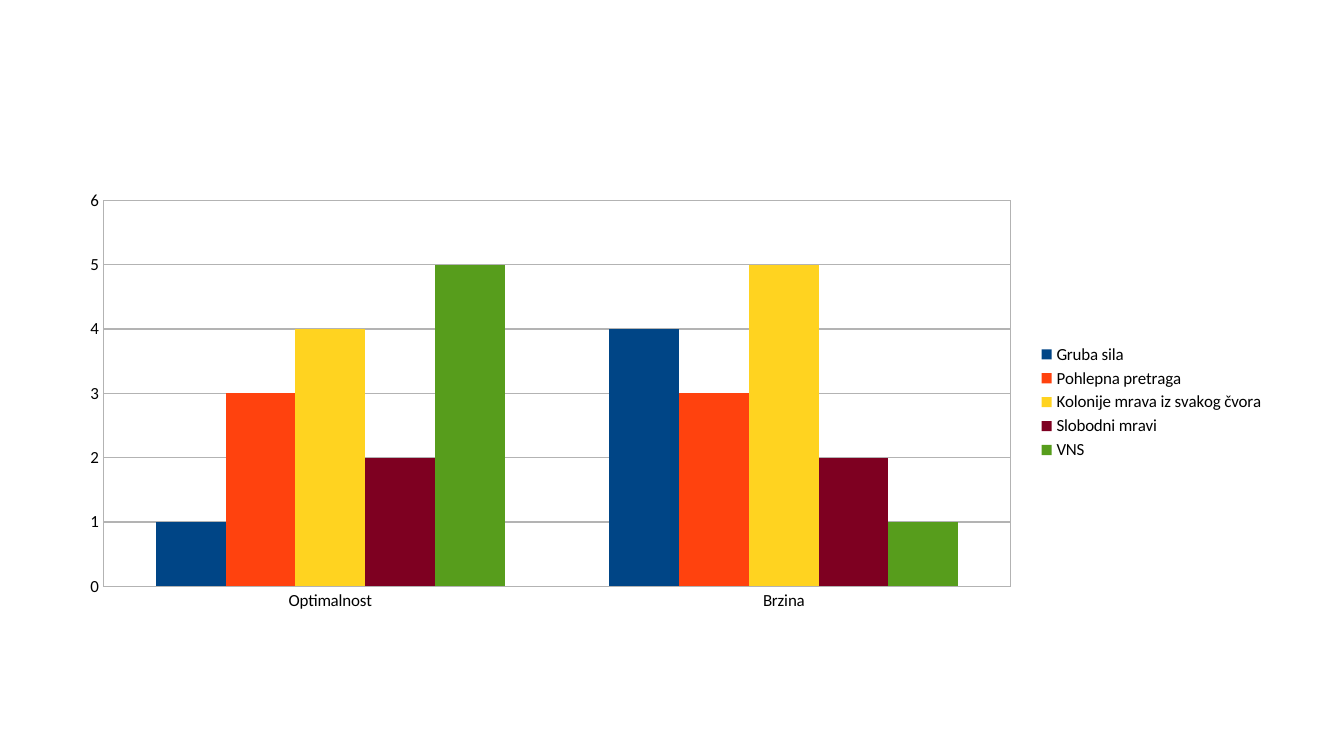
import pptx
import pptx.chart.data
import pptx.dml.color
import pptx.enum.chart
import pptx.oxml
import pptx.oxml.ns
import pptx.util

Cm, Pt = pptx.util.Cm, pptx.util.Pt
RGB = pptx.dml.color.RGBColor
enum = pptx.enum.chart

BLACK = RGB(0x00, 0x00, 0x00)
GREY = RGB(0xB3, 0xB3, 0xB3)
BLUE = RGB(0x00, 0x45, 0x86)
ORANGE = RGB(0xFF, 0x42, 0x0E)
YELLOW = RGB(0xFF, 0xD3, 0x20)
MAROON = RGB(0x7E, 0x00, 0x21)
GREEN = RGB(0x57, 0x9D, 0x1C)

TRAITS = ("Optimalnost", "Brzina")
METHODS = [
    ("Gruba sila", (1, 4), BLUE),
    ("Pohlepna pretraga", (3, 3), ORANGE),
    ("Kolonije mrava iz svakog čvora", (4, 5), YELLOW),
    ("Slobodni mravi", (2, 2), MAROON),
    ("VNS", (5, 1), GREEN),
]
FRAME = (Cm(1.4), Cm(3.81), Cm(25.2), Cm(9.14))
PLOT = {"x": 0.03, "y": 0.04, "w": 0.75, "h": 0.88}


def rule(line):
    line.color.rgb = GREY
    line.width = Pt(0.75)


def place(area):
    """Fix the inner plot area and give it a grey border."""
    for old in area.findall(pptx.oxml.ns.qn("c:layout")):
        area.remove(old)
    sizes = "".join(f'<c:{key} val="{val}"/>' for key, val in PLOT.items())
    names = pptx.oxml.ns.nsdecls("c", "a")
    area.insert(0, pptx.oxml.parse_xml(
        f'<c:layout {names}><c:manualLayout><c:layoutTarget val="inner"/>'
        f'<c:xMode val="edge"/><c:yMode val="edge"/>{sizes}'
        '</c:manualLayout></c:layout>'))
    area.append(pptx.oxml.parse_xml(
        f'<c:spPr {names}><a:noFill/><a:ln w="{Pt(0.75)}"><a:solidFill>'
        f'<a:srgbClr val="{GREY}"/></a:solidFill></a:ln></c:spPr>'))


def draw(slide):
    data = pptx.chart.data.CategoryChartData()
    data.categories = TRAITS
    for name, vals, _ in METHODS:
        data.add_series(name, vals)
    chart = slide.shapes.add_chart(
        enum.XL_CHART_TYPE.COLUMN_CLUSTERED, *FRAME, data).chart
    chart.has_title = False
    chart.font.name = "Calibri"
    chart.font.size = Pt(10)
    chart.font.color.rgb = BLACK

    bars = chart.plots[0]
    bars.gap_width = 150
    bars.overlap = 0
    bars.vary_by_categories = False
    for part, (_, _, color) in zip(bars.series, METHODS):
        part.format.fill.solid()
        part.format.fill.fore_color.rgb = color

    for axis in (chart.category_axis, chart.value_axis):
        axis.major_tick_mark = enum.XL_TICK_MARK.NONE
        axis.minor_tick_mark = enum.XL_TICK_MARK.NONE
        rule(axis.format.line)
    scale = chart.value_axis
    scale.minimum_scale, scale.maximum_scale, scale.major_unit = 0, 6, 1
    scale.has_major_gridlines = True
    rule(scale.major_gridlines.format.line)

    chart.has_legend = True
    chart.legend.position = enum.XL_LEGEND_POSITION.RIGHT
    chart.legend.include_in_layout = False
    place(chart.category_axis._element.getparent())


def main():
    deck = pptx.Presentation()
    deck.slide_width, deck.slide_height = Cm(28), Cm(15.75)
    draw(deck.slides.add_slide(deck.slide_layouts[6]))
    deck.save("out.pptx")


if __name__ == "__main__":
    main()
